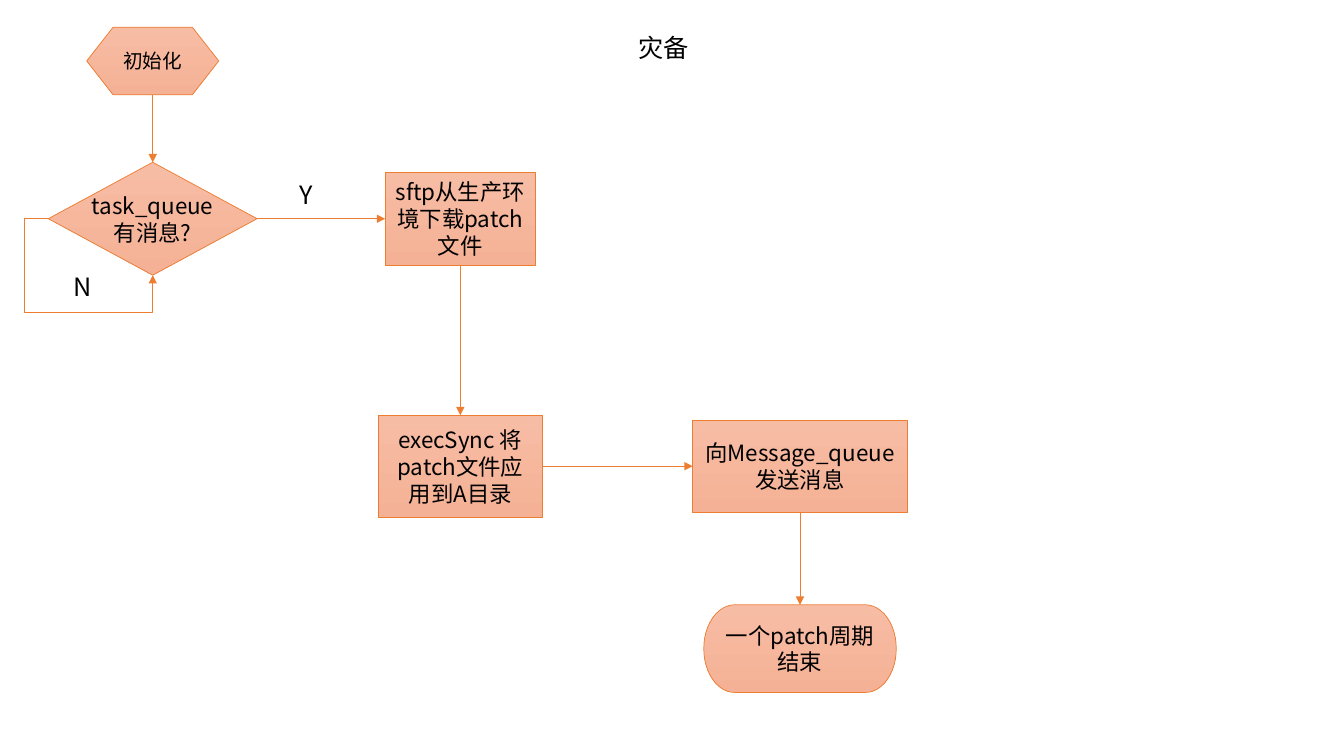
from lxml.etree import SubElement
from pptx import Presentation
from pptx.dml.color import RGBColor
from pptx.enum.shapes import MSO_CONNECTOR, MSO_SHAPE
from pptx.enum.text import MSO_ANCHOR, MSO_AUTO_SIZE, PP_ALIGN
from pptx.oxml.ns import qn
from pptx.util import Inches, Pt

FONT = "Noto Sans CJK SC"
ORANGE = "ED7D31"
TOP, LEFT, BOTTOM, RIGHT = range(4)


def write_text(sp, text, size, align=PP_ALIGN.CENTER):
    tf = sp.text_frame
    tf.word_wrap = True
    tf.text = text
    p = tf.paragraphs[0]
    p.alignment = align
    for r in p.runs:
        r.font.size = Pt(size)
        r.font.name = FONT
        r.font.color.rgb = RGBColor.from_string("000000")
        SubElement(r.font._element, qn("a:ea")).set("typeface", FONT)


prs = Presentation()
prs.slide_width, prs.slide_height = Inches(13.33), Inches(7.5)
s = prs.slides.add_slide(prs.slide_layouts[6])

# Flowchart steps
steps = [
    ("init", MSO_SHAPE.FLOWCHART_PREPARATION, 0.86, 0.27, 1.31, 0.67, "初始化", 14),
    ("check", MSO_SHAPE.FLOWCHART_DECISION, 0.48, 1.61, 2.07, 1.12, "task_queue\v有消息?", 16),
    ("download", MSO_SHAPE.FLOWCHART_PROCESS, 3.82, 1.71, 1.49, 0.92, "sftp从生产环境下载patch文件", 16),
    ("apply", MSO_SHAPE.FLOWCHART_PROCESS, 3.75, 4.12, 1.63, 1.01, "execSync 将patch文件应用到A目录", 16),
    ("notify", MSO_SHAPE.FLOWCHART_PROCESS, 6.87, 4.17, 2.13, 0.91, "向Message_queue发送消息", 16),
    ("end", MSO_SHAPE.FLOWCHART_TERMINATOR, 6.98, 6, 1.91, 0.87, "一个patch周期结束", 16),
]
nodes = {}
for name, kind, x, y, w, h, text, size in steps:
    sp = s.shapes.add_shape(kind, Inches(x), Inches(y), Inches(w), Inches(h))
    sp.shadow.inherit = False
    sp.fill.gradient()
    sp.fill.gradient_angle = 270
    for stop, color in zip(sp.fill.gradient_stops, ("F7BCA4", "F4B196")):
        stop.color.rgb = RGBColor.from_string(color)
    sp.line.color.rgb = RGBColor.from_string(ORANGE)
    sp.line.width = Pt(0.5)
    sp.text_frame.vertical_anchor = MSO_ANCHOR.MIDDLE
    write_text(sp, text, size)
    nodes[name] = sp
# The diamond's inner text area is narrower than its queue name
nodes["check"].text_frame.word_wrap = False

# Arrows between steps; the last one is the "no" loop
links = [
    ("init", BOTTOM, "check", TOP, MSO_CONNECTOR.STRAIGHT),
    ("check", RIGHT, "download", LEFT, MSO_CONNECTOR.STRAIGHT),
    ("download", BOTTOM, "apply", TOP, MSO_CONNECTOR.STRAIGHT),
    ("apply", RIGHT, "notify", LEFT, MSO_CONNECTOR.STRAIGHT),
    ("notify", BOTTOM, "end", TOP, MSO_CONNECTOR.STRAIGHT),
    ("check", LEFT, "check", BOTTOM, MSO_CONNECTOR.ELBOW),
]
for source, out_side, target, in_side, kind in links:
    c = s.shapes.add_connector(kind, 0, 0, 0, 0)
    c.begin_connect(nodes[source], out_side)
    c.end_connect(nodes[target], in_side)
    c.line.color.rgb = RGBColor.from_string(ORANGE)
    c.line.width = Pt(0.5)
    SubElement(c.line._get_or_add_ln(), qn("a:tailEnd")).set("type", "triangle")
    SubElement(c._element.spPr, qn("a:effectLst"))
    if kind == MSO_CONNECTOR.ELBOW:
        # Leave to the left, pass below the N label, come back up
        geom = c._element.spPr.find(qn("a:prstGeom"))
        geom.set("prst", "bentConnector4")
        for name, value in (("adj1", -23000), ("adj2", 166000)):
            gd = SubElement(geom.find(qn("a:avLst")), qn("a:gd"))
            gd.set("name", name)
            gd.set("fmla", f"val {value}")

# Title and branch labels
labels = [
    ("灾备", 5.77, 0.27, 1.62, PP_ALIGN.CENTER),
    ("Y", 2.63, 1.73, 0.82, PP_ALIGN.CENTER),
    ("N", 0.63, 2.64, 0.48, PP_ALIGN.LEFT),
]
for text, x, y, w, align in labels:
    tb = s.shapes.add_textbox(Inches(x), Inches(y), Inches(w), Inches(0.4))
    tb.text_frame.auto_size = MSO_AUTO_SIZE.SHAPE_TO_FIT_TEXT
    write_text(tb, text, 18, align)

prs.save("out.pptx")
